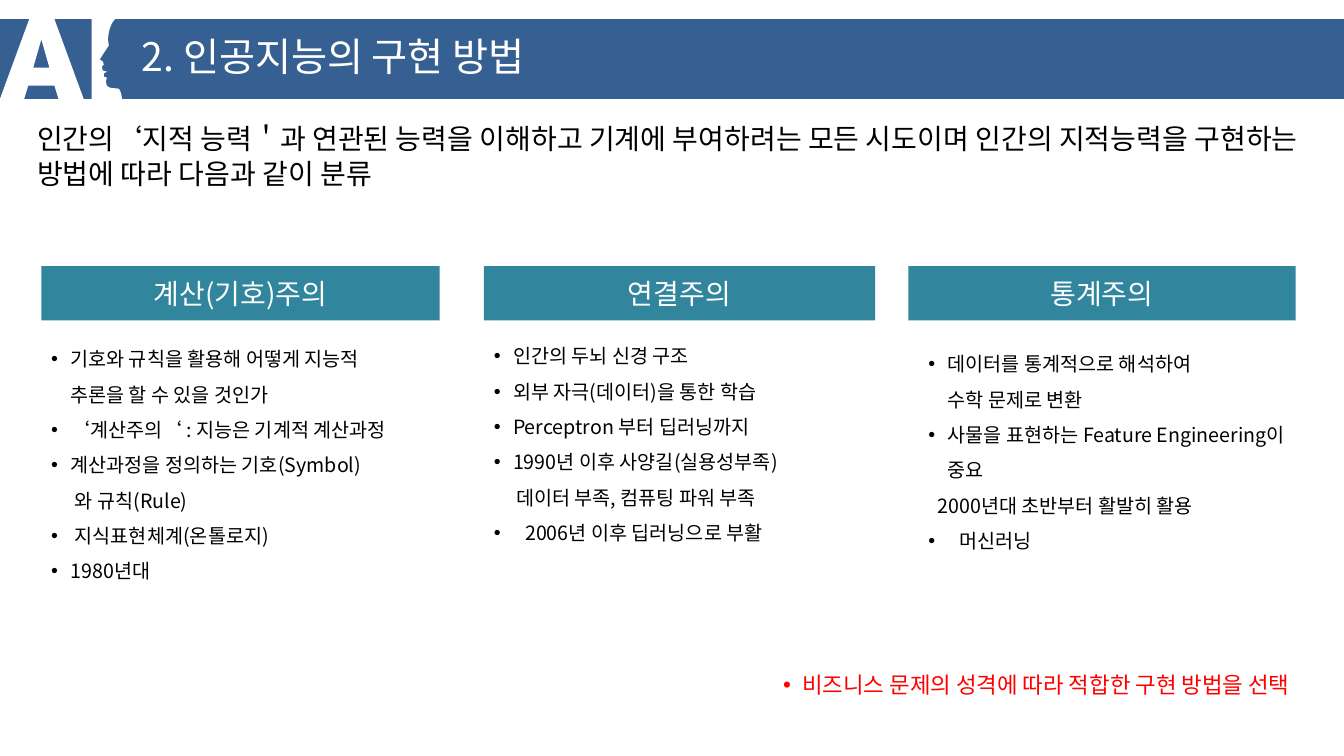
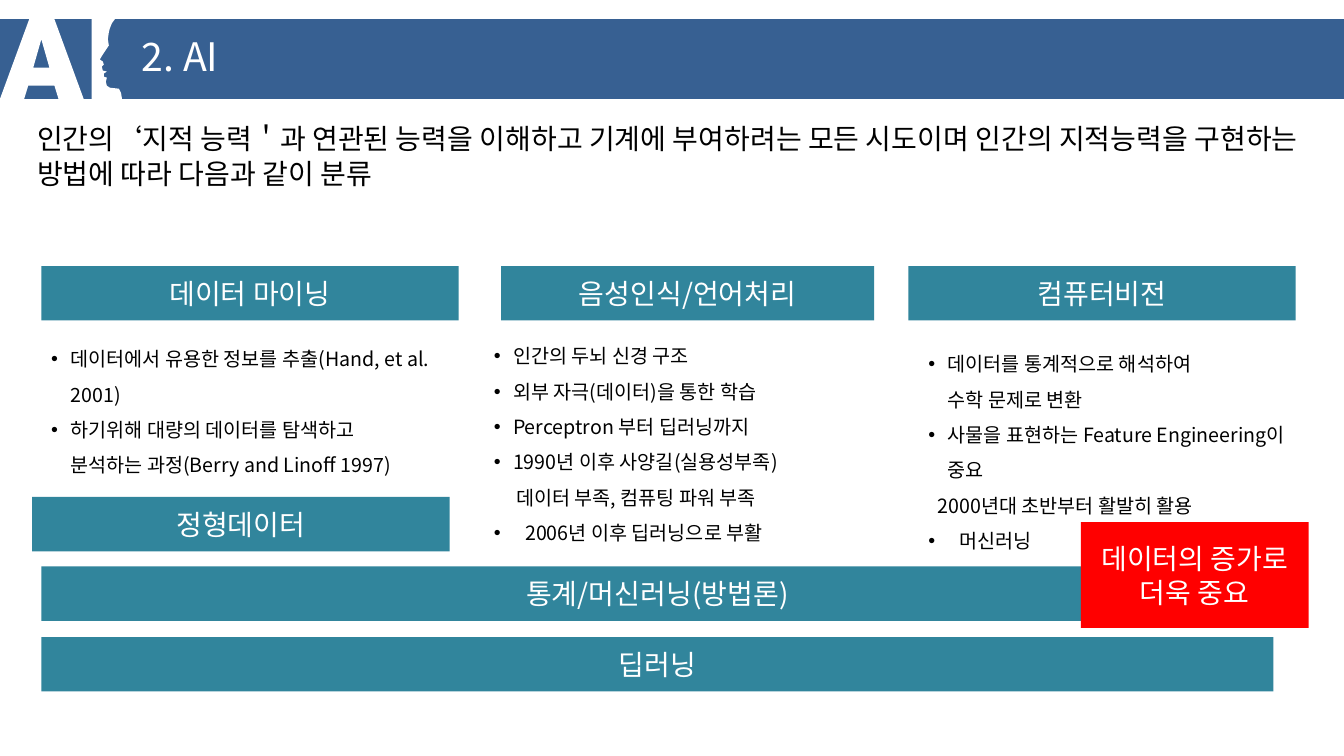
"""Build two slides on ways of realising artificial intelligence."""
from dataclasses import dataclass

from lxml.etree import SubElement
from pptx import Presentation
from pptx.dml.color import RGBColor
from pptx.enum.shapes import MSO_SHAPE
from pptx.enum.text import MSO_ANCHOR as Anchor, PP_ALIGN as Align
from pptx.oxml.ns import qn
from pptx.util import Inches, Pt


@dataclass(frozen=True)
class Theme:
    font: str = "Noto Sans CJK KR"
    band: str = "376092"
    teal: str = "31859C"
    red: str = "FF0000"
    white: str = "FFFFFF"
    black: str = "000000"
    title_size: int = 28
    heading_size: int = 20
    note_size: int = 16
    body_size: int = 14


THEME = Theme()
BULLET, WIDE_BULLET = (0.19, True), (0.31, True)

INTRO = ("인간의‘지적 능력＇과 연관된 능력을 이해하고 기계에 부여하려는 모든 시도이며 "
         "인간의 지적능력을 구현하는 방법에 따라 다음과 같이 분류")

SYMBOLISM = [
    ("기호와 규칙을 활용해 어떻게 지능적\n추론을 할 수 있을 것인가", BULLET),
    ("‘계산주의‘ : 지능은 기계적 계산과정", BULLET),
    ("계산과정을 정의하는 기호(Symbol)\n 와 규칙(Rule)", BULLET),
    (" 지식표현체계(온톨로지)", BULLET),
    ("1980년대", BULLET),
]
DATA_MINING = [
    ("데이터에서 유용한 정보를 추출(Hand, et al. 2001)", BULLET),
    ("하기위해 대량의 데이터를 탐색하고 분석하는 과정(Berry and Linoff 1997)", BULLET),
]
CONNECTIONISM = [
    ("인간의 두뇌 신경 구조", BULLET),
    ("외부 자극(데이터)을 통한 학습", BULLET),
    ("Perceptron 부터 딥러닝까지", BULLET),
    ("1990년 이후 사양길(실용성부족)", BULLET),
    ("데이터 부족, 컴퓨팅 파워 부족", (0.22, False)),
    ("2006년 이후 딥러닝으로 부활", WIDE_BULLET),
]
STATISTICS = [
    ("데이터를 통계적으로 해석하여\n수학 문제로 변환", BULLET),
    ("사물을 표현하는 Feature Engineering이 중요", BULLET),
    ("2000년대 초반부터 활발히 활용", (0.09, False)),
    ("머신러닝", WIDE_BULLET),
]

SLIDES = [
    {
        "title": " 2. 인공지능의 구현 방법",
        "headings": [("계산(기호)주의", 0.41, 3.95), ("연결주의", 4.8, 3.88), ("통계주의", 9.01, 3.84)],
        "columns": [SYMBOLISM, CONNECTIONISM, STATISTICS],
        "note": "비즈니스 문제의 성격에 따라 적합한 구현 방법을 선택 ",
    },
    {
        "title": " 2. AI",
        "headings": [("데이터 마이닝", 0.41, 4.14), ("음성인식/언어처리", 4.97, 3.7), ("컴퓨터비전", 9.01, 3.84)],
        "columns": [DATA_MINING, CONNECTIONISM, STATISTICS],
        "bars": [("정형데이터", 0.32, 4.93, 4.14), ("통계/머신러닝(방법론)", 0.41, 5.62, 12.22),
                 ("딥러닝", 0.41, 6.32, 12.22)],
        "callout": "데이터의 증가로 더욱 중요",
    },
]

COLUMN_BOXES = [(0.41, 3.28, 3.95, 2.68), (4.8, 3.25, 3.88, 2.65), (9.11, 3.33, 3.74, 2.91)]
HEADING_TOP, BAR_HEIGHT = 2.64, 0.54
BAND_TOP, BAND_HEIGHT = 0.19, 0.79

LETTER_A = [(29, 19), (54, 19), (83, 98), (58, 98), (54, 85), (28, 85), (24, 98), (0, 98)]
LETTER_A_HOLE = [(41, 39), (33, 67), (49, 67)]
PROFILE = [
    (91, 19), (114, 19), (111, 23), (109, 28), (108, 32), (107, 39), (108, 45), (102, 54),
    (99, 59), (102, 61), (103, 64), (101, 66), (102, 70), (106, 71), (103, 73), (103, 76),
    (106, 77), (105, 81), (106, 85), (109, 87), (118, 88), (120, 92), (121, 98), (91, 98),
]


def color(value):
    return RGBColor.from_string(value)


def paint(shape, fill):
    shape.shadow.inherit = False
    shape.fill.solid()
    shape.fill.fore_color.rgb = color(fill)
    shape.line.fill.background()


def add_text(paragraph, text, size, text_color):
    for index, line in enumerate(text.split("\n")):
        if index:
            paragraph.add_line_break()
        run = paragraph.add_run()
        run.text = line
        run.font.size = Pt(size)
        run.font.color.rgb = color(text_color)
        run.font.name = THEME.font
        SubElement(run.font._element, qn("a:ea"), typeface=THEME.font)


def indent(paragraph, margin, bulleted):
    properties = paragraph._p.get_or_add_pPr()
    properties.set("marL", str(Inches(margin)))
    if bulleted:
        properties.set("indent", str(-Inches(margin)))
        SubElement(properties, qn("a:buFont"), typeface="Arial")
        SubElement(properties, qn("a:buChar"), char="•")


def add_box(slide, box, fill, text=None):
    shape = slide.shapes.add_shape(MSO_SHAPE.RECTANGLE, *map(Inches, box))
    paint(shape, fill)
    if text:
        frame = shape.text_frame
        frame.word_wrap = True
        frame.vertical_anchor = Anchor.MIDDLE
        frame.paragraphs[0].alignment = Align.CENTER
        add_text(frame.paragraphs[0], text, THEME.heading_size, THEME.white)


def add_text_frame(slide, box, anchor=Anchor.TOP):
    frame = slide.shapes.add_textbox(*map(Inches, box)).text_frame
    frame.word_wrap = True
    frame.vertical_anchor = anchor
    return frame


def add_line(slide, box, text, size, text_color, spacing):
    paragraph = add_text_frame(slide, box, Anchor.MIDDLE).paragraphs[0]
    paragraph.line_spacing = spacing
    paragraph.space_before = Pt(10)
    add_text(paragraph, text, size, text_color)


def add_column(slide, box, items):
    frame = add_text_frame(slide, box)
    for index, (text, style) in enumerate(items):
        paragraph = frame.add_paragraph() if index else frame.paragraphs[0]
        paragraph.line_spacing = 1.5
        indent(paragraph, *style)
        add_text(paragraph, text, THEME.body_size, THEME.black)


def add_note(slide, text):
    paragraph = add_text_frame(slide, (6.04, 6.64, 6.9, 0.34)).paragraphs[0]
    paragraph.alignment = Align.RIGHT
    paragraph.line_spacing = Pt(17)
    indent(paragraph, *BULLET)
    add_text(paragraph, text, THEME.note_size, THEME.red)


def add_emblem(slide):
    builder = slide.shapes.build_freeform(*LETTER_A[0], scale=Inches(0.01))
    builder.add_line_segments(LETTER_A[1:], close=True)
    for outline in (LETTER_A_HOLE, PROFILE):
        builder.move_to(*outline[0])
        builder.add_line_segments(outline[1:], close=True)
    paint(builder.convert_to_shape(), THEME.white)


def add_frame(slide, title):
    add_box(slide, (0, BAND_TOP, 13.33, BAND_HEIGHT), THEME.band)
    add_emblem(slide)
    add_line(slide, (1.22, 0.21, 7.59, 0.74), title, THEME.title_size, THEME.white, 0.9)
    add_line(slide, (0.27, 1.12, 12.94, 0.83), INTRO, THEME.heading_size, THEME.black, Pt(25))


def build_slide(presentation, content):
    slide = presentation.slides.add_slide(presentation.slide_layouts[6])
    add_frame(slide, content["title"])
    for text, left, width in content["headings"]:
        add_box(slide, (left, HEADING_TOP, width, BAR_HEIGHT), THEME.teal, text)
    for box, items in zip(COLUMN_BOXES, content["columns"]):
        add_column(slide, box, items)
    for text, left, top, width in content.get("bars", []):
        add_box(slide, (left, top, width, BAR_HEIGHT), THEME.teal, text)
    if "callout" in content:
        add_box(slide, (10.72, 5.18, 2.26, 1.05), THEME.red, content["callout"])
    if "note" in content:
        add_note(slide, content["note"])


def main():
    presentation = Presentation()
    presentation.slide_width = Inches(13.33)
    presentation.slide_height = Inches(7.5)
    for content in SLIDES:
        build_slide(presentation, content)
    presentation.save("out.pptx")


if __name__ == "__main__":
    main()
